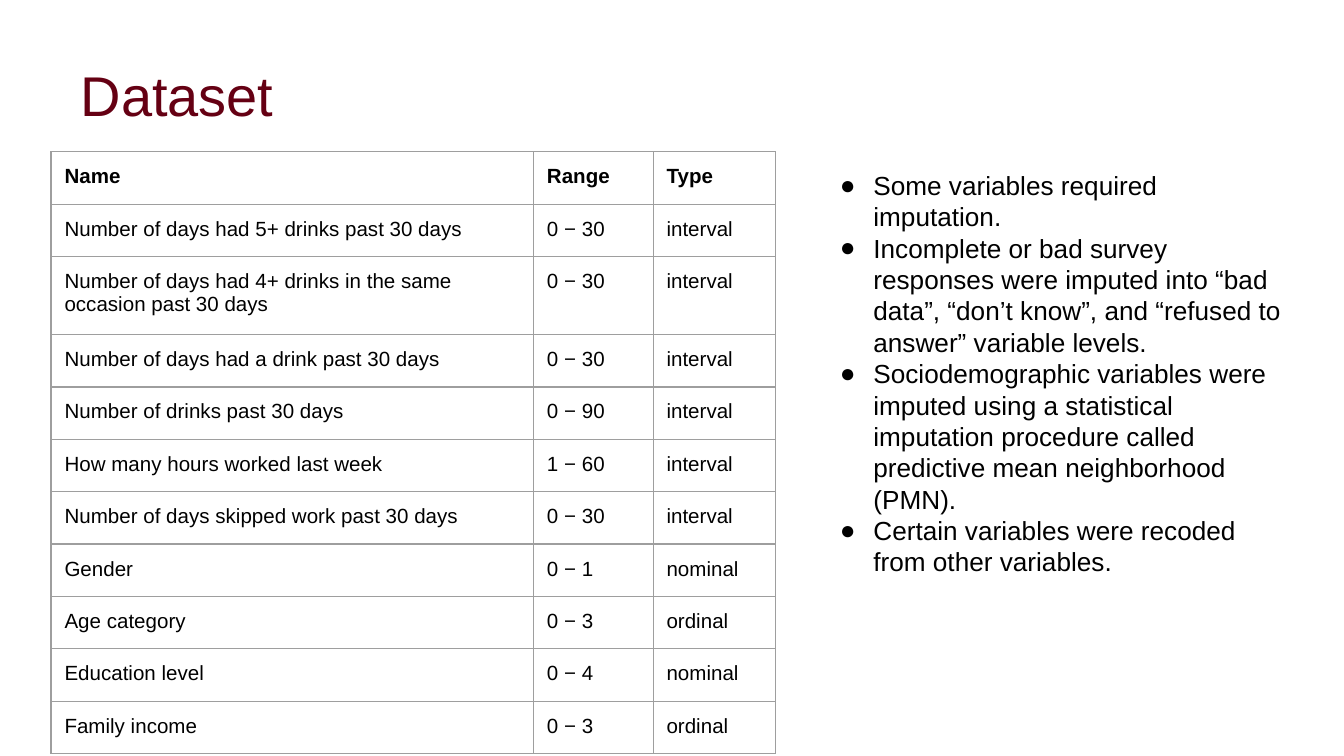
"""Build the dataset slide with its variable table and notes."""
from typing import NamedTuple

from lxml import etree
from pptx import Presentation
from pptx.dml.color import RGBColor
from pptx.enum.text import MSO_ANCHOR, PP_ALIGN
from pptx.oxml.ns import qn
from pptx.util import Inches, Pt

LEFT = PP_ALIGN.LEFT
TOP, MIDDLE = MSO_ANCHOR.TOP, MSO_ANCHOR.MIDDLE
COLORS = {"title": "650013", "text": "000000", "line": "9E9E9E", "back": "FFFFFF"}
FONT = "Arial"
PAD = Inches(0.1)
WIDTHS = (3.59, 0.89, 0.91)
ROW, TALL = 0.39, 0.58


class Entry(NamedTuple):
    name: str
    range: str
    type: str
    height: float = ROW


ENTRIES = [
    Entry("Name", "Range", "Type"),
    Entry("Number of days had 5+ drinks past 30 days", "0 − 30", "interval"),
    Entry("Number of days had 4+ drinks in the same occasion past 30 days",
          "0 − 30", "interval", TALL),
    Entry("Number of days had a drink past 30 days", "0 − 30", "interval"),
    Entry("Number of drinks past 30 days", "0 − 90", "interval"),
    Entry("How many hours worked last week", "1 − 60", "interval"),
    Entry("Number of days skipped work past 30 days", "0 − 30", "interval"),
    Entry("Gender", "0 − 1", "nominal"),
    Entry("Age category", "0 − 3", "ordinal"),
    Entry("Education level", "0 − 4", "nominal"),
    Entry("Family income", "0 − 3", "ordinal"),
]
NOTES = [
    "Some variables required imputation.",
    "Incomplete or bad survey responses were imputed into “bad data”, "
    "“don’t know”, and “refused to answer” variable levels.",
    "Sociodemographic variables were imputed using a statistical imputation "
    "procedure called predictive mean neighborhood (PMN).",
    "Certain variables were recoded from other variables.",
]


def style(para, size: float, color: str, bold: bool = False) -> None:
    """Format every run of a paragraph."""
    para.alignment = LEFT
    for run in para.runs:
        run.font.name = FONT
        run.font.size = Pt(size)
        run.font.bold = bold
        run.font.color.rgb = RGBColor.from_string(COLORS[color])


def pad(box) -> None:
    """Give a cell or text frame equal margins."""
    box.margin_left = box.margin_right = PAD
    box.margin_top = box.margin_bottom = PAD


def border(cell) -> None:
    """Draw a thin line on all four sides of a cell."""
    props = cell._tc.get_or_add_tcPr()
    for side in ("a:lnL", "a:lnR", "a:lnT", "a:lnB"):
        line = etree.SubElement(props, qn(side), w=str(Pt(0.75)))
        fill = etree.SubElement(line, qn("a:solidFill"))
        etree.SubElement(fill, qn("a:srgbClr"), val=COLORS["line"])


def add_title(slide) -> None:
    """Place and format the slide title."""
    title = slide.shapes.title
    title.left, title.top = Inches(0.5), Inches(0.23)
    title.width, title.height = Inches(9), Inches(0.94)
    frame = title.text_frame
    frame.text = "Dataset"
    frame.vertical_anchor = MIDDLE
    pad(frame)
    style(frame.paragraphs[0], 30, "title")


def add_grid(slide) -> None:
    """Draw the table of variables."""
    high = sum(entry.height for entry in ENTRIES)
    table = slide.shapes.add_table(
        len(ENTRIES), len(WIDTHS), Inches(0.38), Inches(1.13),
        Inches(sum(WIDTHS)), Inches(high)).table
    table.horz_banding = False
    for col, width in zip(table.columns, WIDTHS):
        col.width = Inches(width)
    for index, (row, entry) in enumerate(zip(table.rows, ENTRIES)):
        row.height = Inches(entry.height)
        for cell, text in zip(row.cells, entry[:3]):
            cell.text_frame.text = text
            cell.vertical_anchor = TOP
            pad(cell)
            border(cell)
            cell.fill.solid()
            cell.fill.fore_color.rgb = RGBColor.from_string(COLORS["back"])
            style(cell.text_frame.paragraphs[0], 11, "text", index == 0)


def add_notes(slide) -> None:
    """Write the bulleted remarks beside the table."""
    frame = slide.shapes.add_textbox(
        Inches(5.9), Inches(1.16), Inches(3.78), Inches(3.75)).text_frame
    frame.word_wrap = True
    pad(frame)
    frame.text = "\n".join(NOTES)
    for para in frame.paragraphs:
        style(para, 14, "text")
        props = para._p.get_or_add_pPr()
        props.set("marL", str(Inches(0.5)))
        props.set("indent", str(Inches(-0.25)))
        etree.SubElement(props, qn("a:buFont"), typeface=FONT)
        etree.SubElement(props, qn("a:buChar"), char="●")


def main() -> None:
    """Assemble and save the slide."""
    deck = Presentation()
    deck.slide_width = Inches(10)
    deck.slide_height = deck.slide_width * 9 // 16
    slide = deck.slides.add_slide(deck.slide_layouts.get_by_name("Title Only"))
    add_title(slide)
    add_grid(slide)
    add_notes(slide)
    deck.save("out.pptx")


main()
